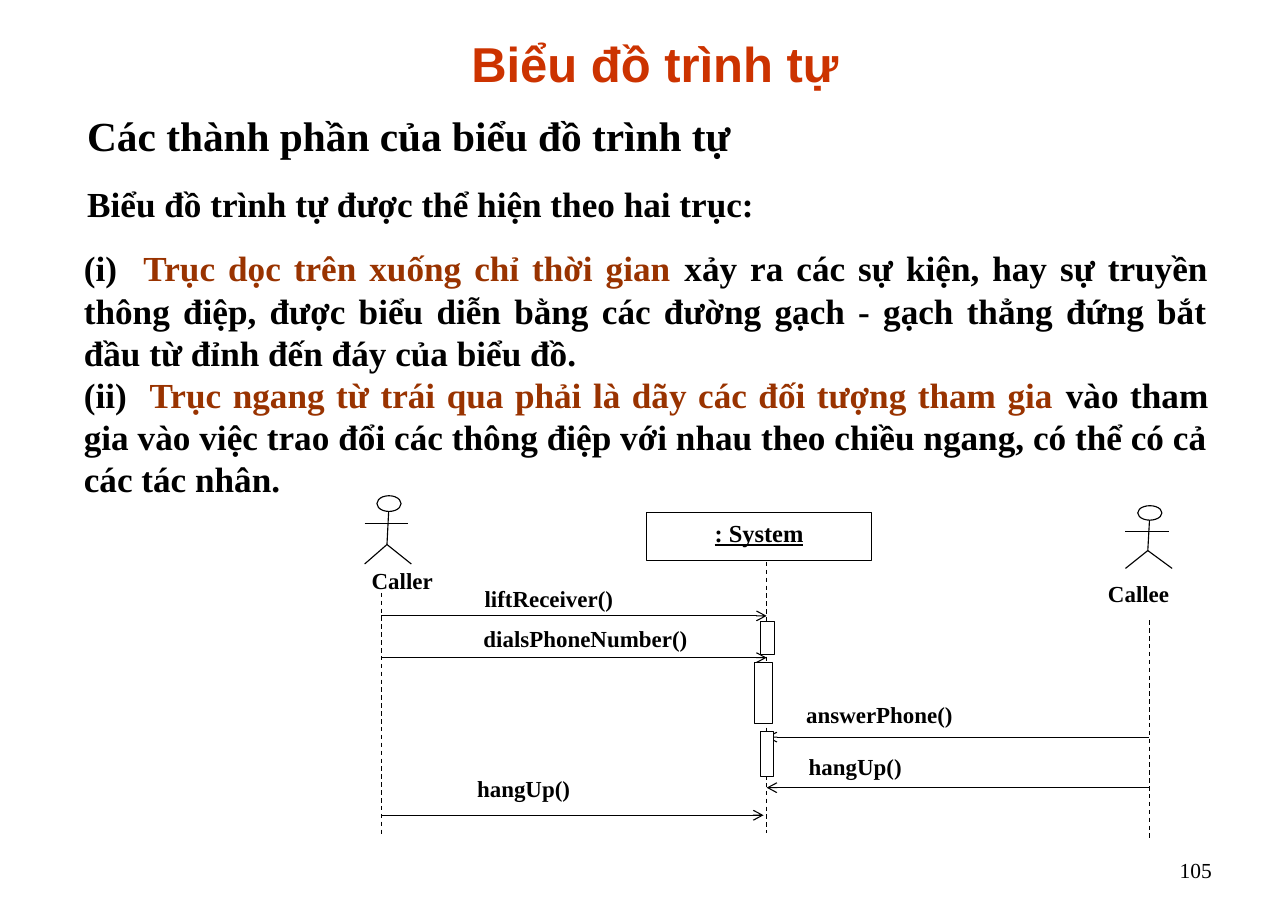
from dataclasses import dataclass

from lxml.etree import SubElement
from pptx import Presentation
from pptx.dml.color import RGBColor
from pptx.enum.dml import MSO_LINE
from pptx.enum.shapes import MSO_CONNECTOR, MSO_SHAPE
from pptx.enum.text import MSO_ANCHOR, MSO_AUTO_SIZE, PP_ALIGN
from pptx.oxml.ns import qn
from pptx.util import Pt

BLACK, WHITE, RED, BROWN = "000000", "FFFFFF", "CC3300", "993300"
SERIF = "Times New Roman"
CALLER_X, SYSTEM_X, CALLEE_X = 249.1, 501, 751


@dataclass
class Actor:
    left: float
    top: float
    height: float


@dataclass
class Lifeline:
    x: float
    top: float
    bottom: float


@dataclass
class Message:
    start: float
    end: float
    y: float


@dataclass
class Label:
    text: str
    left: float
    top: float


@dataclass
class Box:
    left: float
    top: float
    width: float
    height: float


ACTORS = [Actor(238.3, 324, 44.6), Actor(735.5, 330.5, 41)]
LIFELINES = [
    Lifeline(CALLER_X, 387.4, 545),
    Lifeline(SYSTEM_X, 367.2, 544.3),
    Lifeline(CALLEE_X, 405.4, 547.9),
]
MESSAGES = [
    Message(CALLER_X, SYSTEM_X, 402.5),
    Message(CALLER_X, SYSTEM_X, 429.8),
    Message(CALLEE_X, SYSTEM_X, 481.7),
    Message(CALLEE_X, SYSTEM_X, 514.8),
    Message(CALLER_X, 499, 532.8),
]
LABELS = [
    Label("Caller", 235.8, 366.5),
    Label("Callee", 717, 375.1),
    Label("liftReceiver()", 309.6, 378.7),
    Label("dialsPhoneNumber()", 308.9, 404.6),
    Label("answerPhone()", 519.8, 454.3),
    Label("hangUp()", 521.4, 488.2),
    Label("hangUp()", 304.7, 502.6),
]
ACTIVATIONS = [
    Box(496.8, 406.1, 9.4, 21.6),
    Box(493.2, 432.7, 11.5, 40.3),
    Box(496.8, 478.1, 8.6, 29.5),
]
AXES = [
    ("(i)", 39, "Trục dọc trên xuống chỉ thời gian ",
     "xảy ra các sự kiện, hay sự truyền thông điệp, được biểu diễn bằng các "
     "đường gạch - gạch thẳng đứng bắt đầu từ đỉnh đến đáy của biểu đồ."),
    ("(ii)", 43, "Trục ngang từ trái qua phải là dãy các đối tượng tham gia ",
     "vào tham gia vào việc trao đổi các thông điệp với nhau theo chiều ngang, "
     "có thể có cả các tác nhân."),
]


def rgb(color: str) -> RGBColor:
    return RGBColor.from_string(color)


def add_run(p, text: str, size: float, color: str = BLACK, bold: bool = True,
            font: str = SERIF):
    r = p.add_run()
    r.text = text
    r.font.size, r.font.bold, r.font.name = Pt(size), bold, font
    r.font.color.rgb = rgb(color)
    return r


def place(sp, box: Box) -> None:
    sp.left, sp.top = Pt(box.left), Pt(box.top)
    sp.width, sp.height = Pt(box.width), Pt(box.height)


def set_frame(tf, x_inset: float = 8, y_inset: float = 4.3) -> None:
    tf.word_wrap = True
    tf.auto_size = MSO_AUTO_SIZE.NONE
    tf.vertical_anchor = MSO_ANCHOR.TOP
    tf.margin_left = tf.margin_right = Pt(x_inset)
    tf.margin_top = tf.margin_bottom = Pt(y_inset)


def add_text_frame(s, box: Box, x_inset: float = 8, y_inset: float = 4.3):
    sp = s.shapes.add_textbox(0, 0, 0, 0)
    place(sp, box)
    set_frame(sp.text_frame, x_inset, y_inset)
    return sp.text_frame


def add_outline(s, preset: MSO_SHAPE, box: Box):
    """Add a white shape with a thin black border."""
    sp = s.shapes.add_shape(preset, 0, 0, 0, 0)
    place(sp, box)
    sp.shadow.inherit = False
    sp.fill.solid()
    sp.fill.fore_color.rgb = rgb(WHITE)
    sp.line.color.rgb = rgb(BLACK)
    sp.line.width = Pt(0.75)
    return sp


def add_line(s, x1: float, y1: float, x2: float, y2: float,
             dashed: bool = False, arrow: bool = False) -> None:
    line = s.shapes.add_connector(
        MSO_CONNECTOR.STRAIGHT, Pt(x1), Pt(y1), Pt(x2), Pt(y2))
    line.line.color.rgb = rgb(BLACK)
    line.line.width = Pt(0.75)
    if dashed:
        line.line.dash_style = MSO_LINE.DASH
    if arrow:
        SubElement(line.line._get_or_add_ln(), qn("a:tailEnd"), type="arrow")
    SubElement(line._element.spPr, qn("a:effectLst"))


def add_actor(s, actor: Actor) -> None:
    x, y, h = actor.left, actor.top, actor.height
    neck, arms, hip, feet = (y + h * part for part in (0.23, 0.405, 0.715, 1))
    add_outline(s, MSO_SHAPE.OVAL, Box(x + 8, y, 15.8, neck - y))
    add_line(s, x + 15.7, neck, x + 14.6, hip)
    add_line(s, x, arms, x + 28.3, arms)
    for foot in (x, x + 30.5):
        add_line(s, x + 14.6, hip, foot, feet)


def add_intro(s) -> None:
    title = s.shapes.title
    place(title, Box(56.2, 17.3, 743.8, 46.8))
    set_frame(title.text_frame)
    p = title.text_frame.paragraphs[0]
    p.alignment = PP_ALIGN.CENTER
    add_run(p, "Biểu đồ trình tự", 32, RED, font="Arial")

    tf = add_text_frame(s, Box(49, 67.7, 666.7, 85))
    add_run(tf.paragraphs[0], "Các thành phần của biểu đồ trình tự", 27)
    p = tf.add_paragraph()
    p.space_before = Pt(15)
    add_run(p, "Biểu đồ trình tự được thể hiện theo hai trục:", 23)

    tf = add_text_frame(s, Box(46.8, 157, 751, 175.7))
    for i, (number, tab, lead, rest) in enumerate(AXES):
        p = tf.add_paragraph() if i else tf.paragraphs[0]
        p.alignment = PP_ALIGN.JUSTIFY
        tabs = SubElement(p._p.get_or_add_pPr(), qn("a:tabLst"))
        SubElement(tabs, qn("a:tab"), pos=str(Pt(tab)), algn="l")
        add_run(p, number + "\t", 23)
        add_run(p, lead, 23, BROWN)
        add_run(p, rest, 23)


def add_diagram(s) -> None:
    system = add_outline(s, MSO_SHAPE.RECTANGLE, Box(422.6, 334.8, 146.9, 31.7))
    set_frame(system.text_frame, 7.2, 3.6)
    p = system.text_frame.paragraphs[0]
    p.alignment = PP_ALIGN.CENTER
    add_run(p, ": System", 16).font.underline = True
    for actor in ACTORS:
        add_actor(s, actor)
    for life in LIFELINES:
        add_line(s, life.x, life.top, life.x, life.bottom, dashed=True)
    for msg in MESSAGES:
        add_line(s, msg.start, msg.y, msg.end, msg.y, arrow=True)
    for box in ACTIVATIONS:
        add_outline(s, MSO_SHAPE.RECTANGLE, box)
    for label in LABELS:
        tf = add_text_frame(s, Box(label.left, label.top, 160, 22), 7.2, 3.6)
        add_run(tf.paragraphs[0], label.text, 15)


def main() -> None:
    prs = Presentation()
    prs.slide_width, prs.slide_height = Pt(841.68), Pt(594.72)
    s = prs.slides.add_slide(prs.slide_layouts[5])
    add_intro(s)
    add_diagram(s)
    tf = add_text_frame(s, Box(603.4, 541.4, 196.6, 39.6))
    tf.vertical_anchor = MSO_ANCHOR.BOTTOM
    tf.paragraphs[0].alignment = PP_ALIGN.RIGHT
    add_run(tf.paragraphs[0], "105", 14, bold=False)
    prs.save("out.pptx")


if __name__ == "__main__":
    main()
